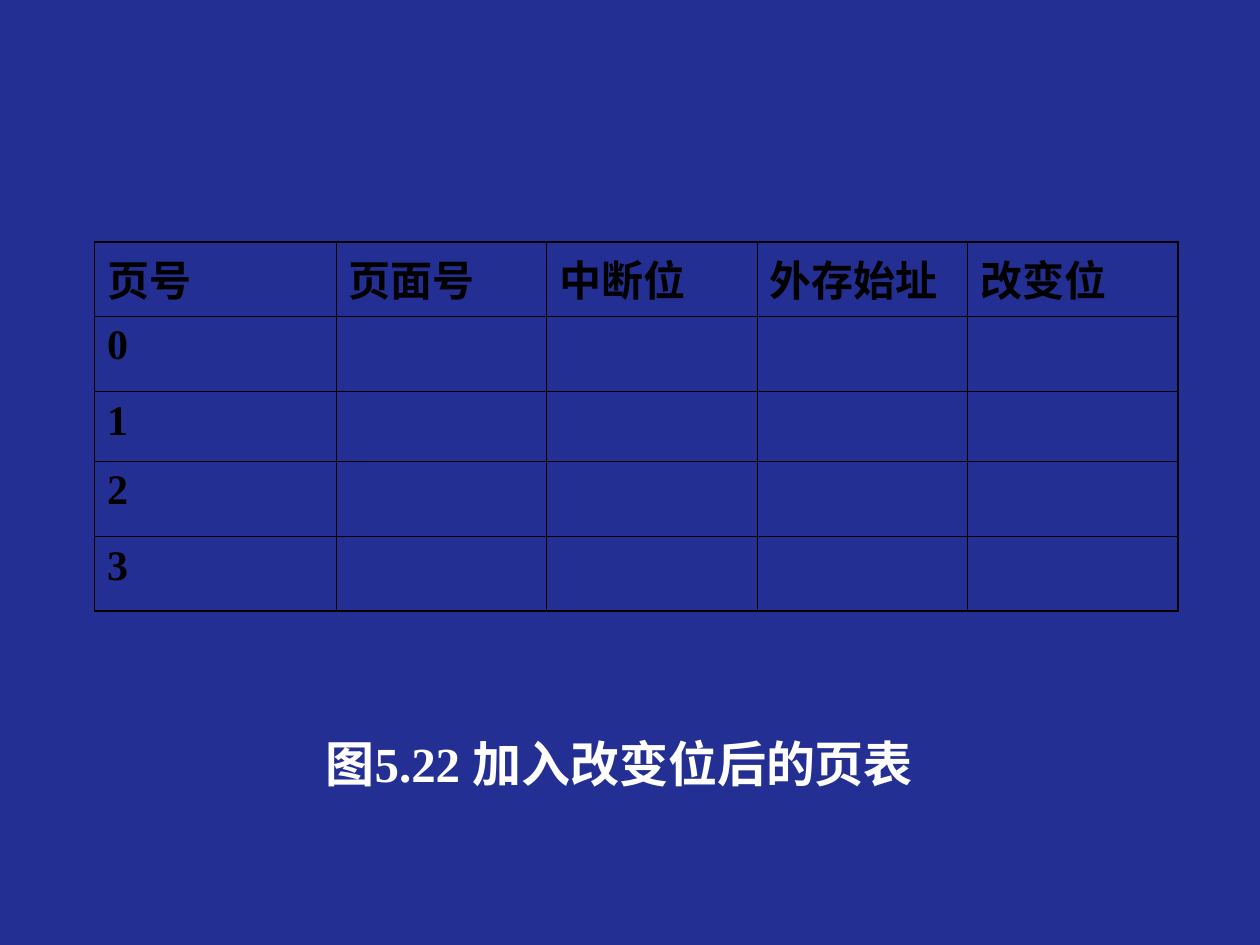
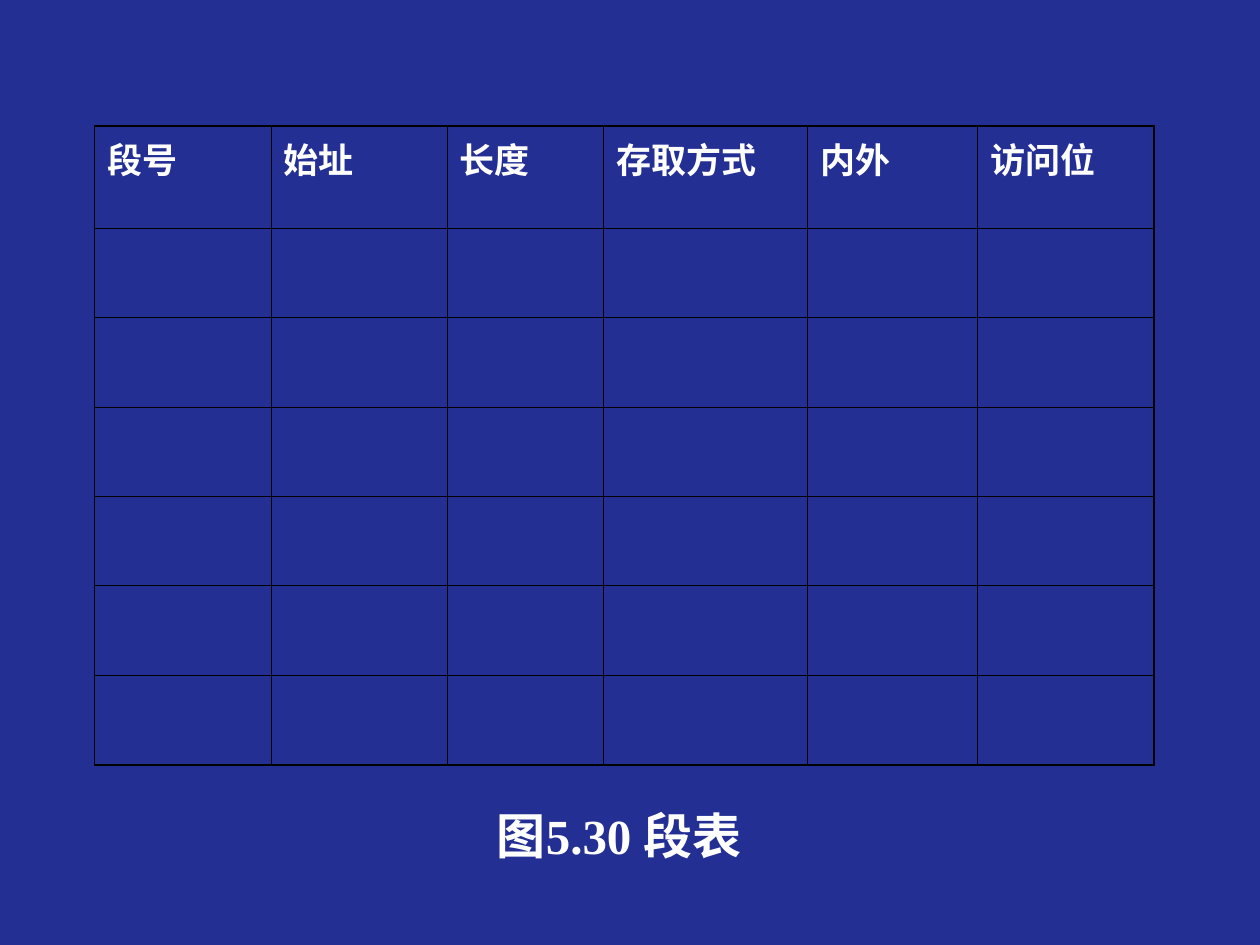
from dataclasses import dataclass

from lxml.etree import SubElement
from pptx import Presentation
from pptx.dml.color import RGBColor
from pptx.enum.text import MSO_ANCHOR as Anchor, MSO_AUTO_SIZE as AutoSize, PP_ALIGN as Align
from pptx.oxml.ns import qn
from pptx.util import Inches, Pt

# Shared look
BACKGROUND = "242F94"
WHITE = "FFFFFF"
BLACK = "000000"
FONT = "Times New Roman"
CAPTION_SIZE = 28
INNER_LINE, OUTER_LINE = 0.45, 1.08
TABLE_LEFT = 0.75
FRAME = (0.33, 0.67, 9.17, 6.42)


@dataclass
class TableSlide:
    caption: str
    caption_gap: float  # space below the caption, inside its frame
    top: float
    columns: list[float]
    rows: list[float]
    cells: dict[tuple[int, int], str]
    size: int
    color: str
    space_before: int


def rgb(color: str) -> RGBColor:
    return RGBColor.from_string(color)


def format_text(p, size: int, color: str, space_before: int) -> None:
    p.space_before = Pt(space_before)
    for r in p.runs:
        r.font.name = FONT
        r.font.size = Pt(size)
        r.font.bold = True
        r.font.color.rgb = rgb(color)


def add_border(cell, side: str, width: float) -> None:
    line = SubElement(cell._tc.get_or_add_tcPr(), qn(f"a:ln{side}"), w=str(Pt(width)))
    fill = SubElement(line, qn("a:solidFill"))
    SubElement(fill, qn("a:srgbClr"), val=BLACK)


def add_caption(s, spec: TableSlide) -> None:
    sp = s.placeholders[1]
    sp.left, sp.top, sp.width, sp.height = map(Inches, FRAME)
    tf = sp.text_frame
    tf.text = spec.caption
    tf.word_wrap = True
    tf.auto_size = AutoSize.NONE
    tf.vertical_anchor = Anchor.BOTTOM
    tf.margin_bottom = Inches(spec.caption_gap)
    p = tf.paragraphs[0]
    p.alignment = Align.CENTER
    format_text(p, CAPTION_SIZE, WHITE, 7)


def add_grid(s, spec: TableSlide) -> None:
    last_row, last_col = len(spec.rows) - 1, len(spec.columns) - 1
    table = s.shapes.add_table(
        last_row + 1, last_col + 1, Inches(TABLE_LEFT), Inches(spec.top),
        Inches(sum(spec.columns)), Inches(sum(spec.rows))).table
    table.first_row = table.horz_banding = False
    for column, width in zip(table.columns, spec.columns):
        column.width = Inches(width)
    for row, height in zip(table.rows, spec.rows):
        row.height = Inches(height)

    # Thick lines around the outside, thin ones between cells
    for i in range(last_row + 1):
        for j in range(last_col + 1):
            cell = table.cell(i, j)
            outer = {"L": j == 0, "R": j == last_col, "T": i == 0, "B": i == last_row}
            for side, is_outer in outer.items():
                add_border(cell, side, OUTER_LINE if is_outer else INNER_LINE)
            cell.fill.background()

    for (i, j), text in spec.cells.items():
        tf = table.cell(i, j).text_frame
        tf.text = text
        format_text(tf.paragraphs[0], spec.size, spec.color, spec.space_before)


def header(*names: str) -> dict[tuple[int, int], str]:
    return {(0, j): name for j, name in enumerate(names)}


SLIDES = [
    TableSlide(
        caption="图5.22 加入改变位后的页表", caption_gap=0.8, top=1.92,
        columns=[1.92] + [1.67] * 4, rows=[0.59, 0.6, 0.55, 0.6, 0.59],
        cells=header("页号", "页面号", "中断位", "外存始址", "改变位")
        | {(page + 1, 0): str(page) for page in range(4)},
        size=24, color=BLACK, space_before=6),
    TableSlide(
        caption="图5.30 段表", caption_gap=0.23, top=1,
        columns=[1.4, 1.4, 1.24, 1.62, 1.35, 1.4], rows=[0.81] + [0.71] * 6,
        cells=header("段号", "始址", "长度", "存取方式", "内外", "访问位"),
        size=20, color=WHITE, space_before=5),
]


def main() -> None:
    prs = Presentation()
    prs.slide_width, prs.slide_height = Inches(10), Inches(7.5)
    fill = prs.slide_master.background.fill
    fill.solid()
    fill.fore_color.rgb = rgb(BACKGROUND)

    for spec in SLIDES:
        s = prs.slides.add_slide(prs.slide_layouts[0])
        title = s.shapes.title._element
        title.getparent().remove(title)
        add_caption(s, spec)
        add_grid(s, spec)
    prs.save("out.pptx")


if __name__ == "__main__":
    main()
